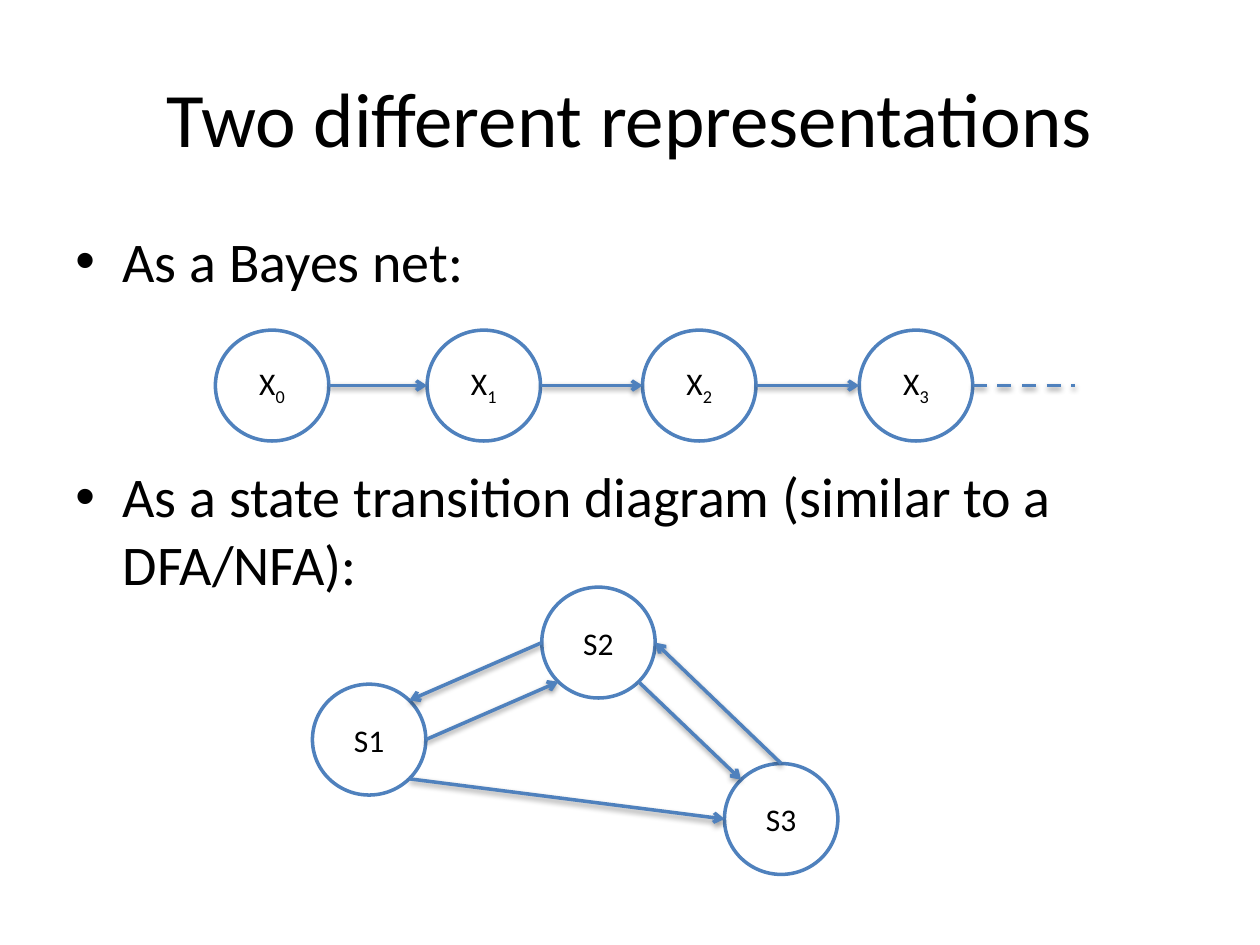
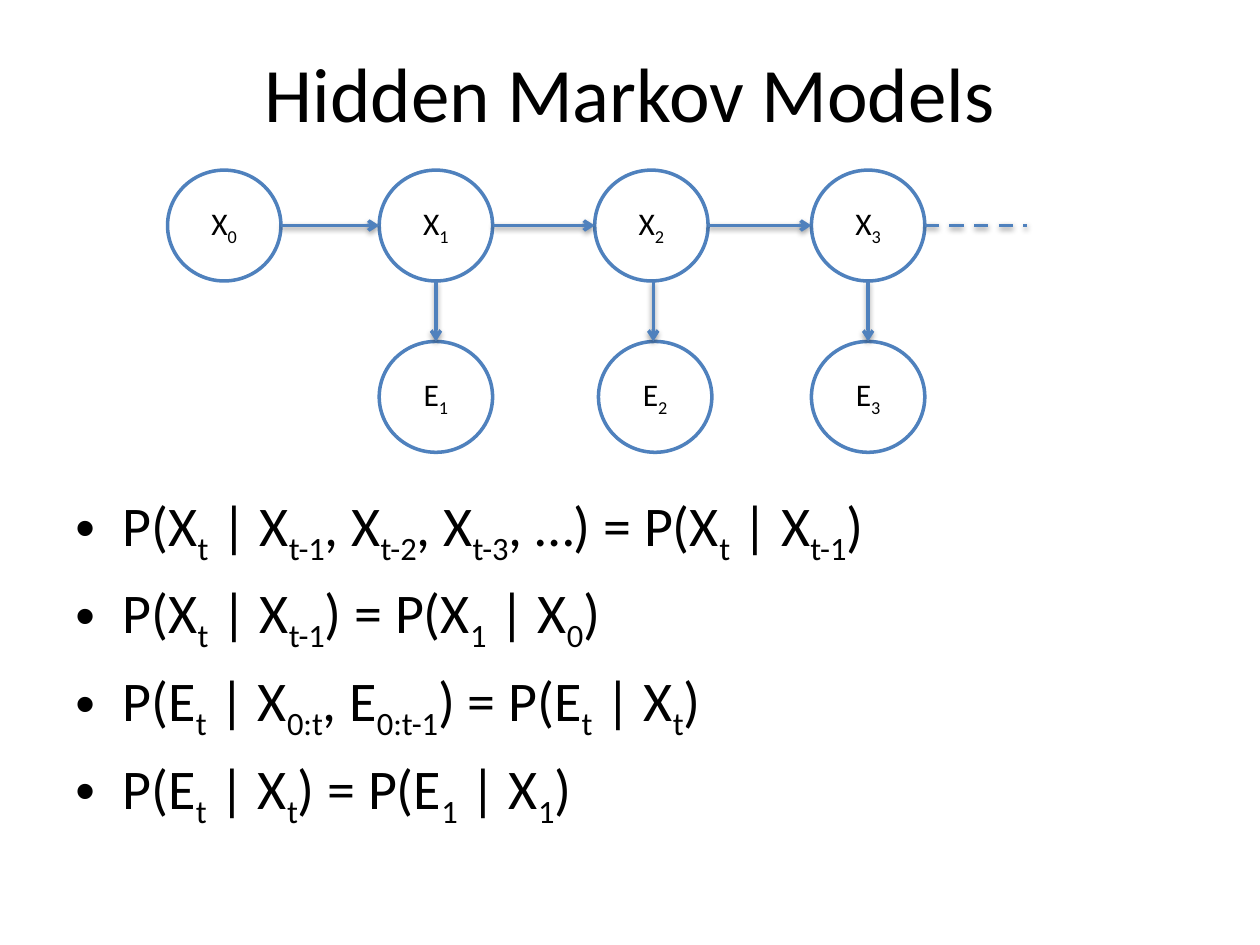
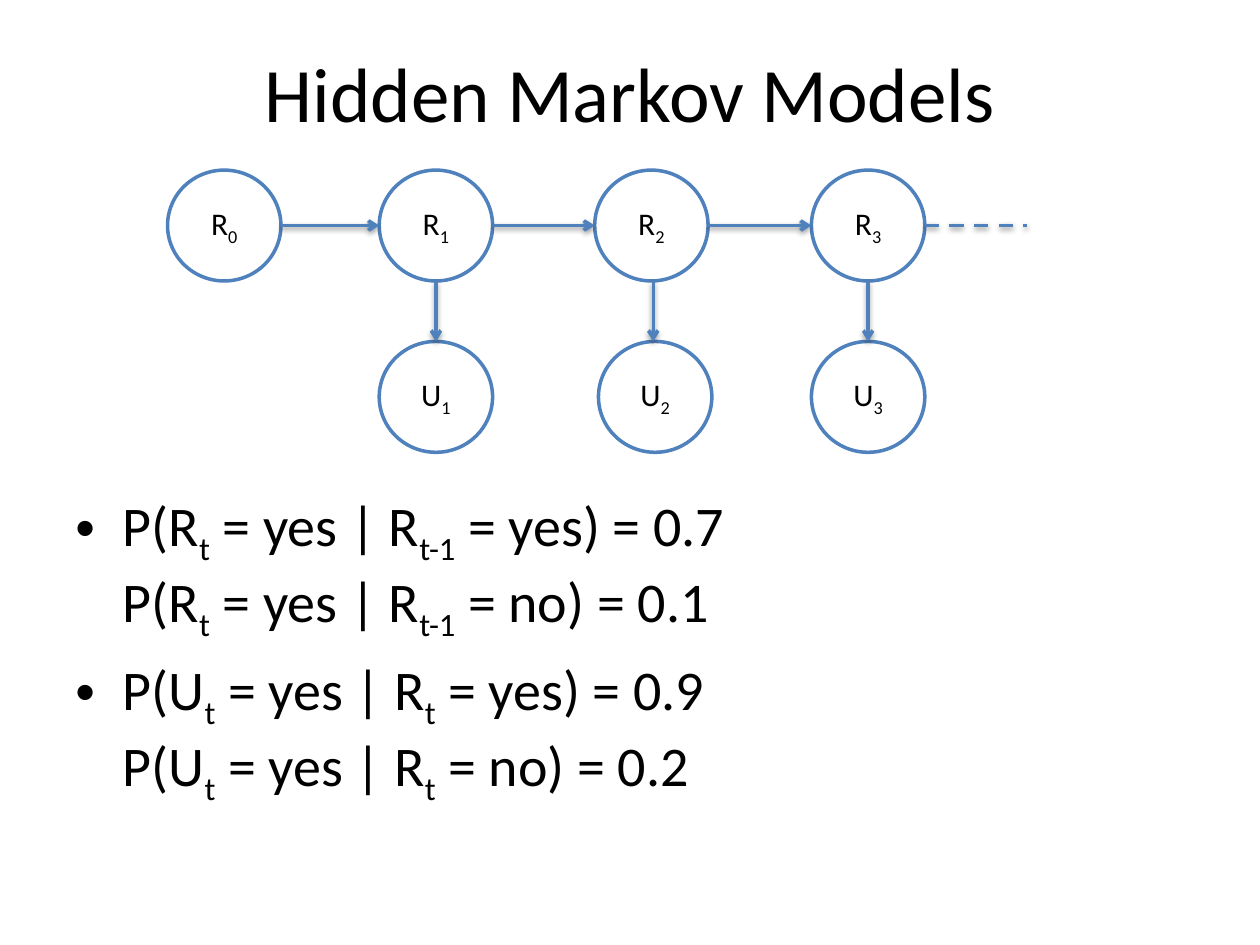
import math

import pptx
import pptx.dml.color
import pptx.enum.dml
import pptx.enum.shapes
import pptx.enum.text
import pptx.oxml
import pptx.util
from lxml import etree

A = "http://schemas.openxmlformats.org/drawingml/2006/main"
SHADOW = (f'<a:effectLst xmlns:a="{A}"><a:outerShdw blurRad="40000" dist="20000" '
          'dir="5400000" rotWithShape="0"><a:srgbClr val="000000">'
          '<a:alpha val="38000"/></a:srgbClr></a:outerShdw></a:effectLst>')
NODE_W, NODE_H = 9, 8.8
CHAIN_COLS = (0, 16.8, 33.9, 51.1)
EVIDENCE_COLS = (16.8, 34.2, 51.1)
LEFT, RIGHT, UP, DOWN = (-1, 0), (1, 0), (0, -1), (0, 1)


def rgb(value):
    return pptx.dml.color.RGBColor.from_string(value)


def write(p, text, size, color="000000", font="Calibri", align=None):
    """Fill a paragraph; parts in braces become subscripts, newlines line breaks."""
    p.alignment = align
    for i, part in enumerate(text.replace("}", "{").split("{")):
        for j, line in enumerate(part.split("\n")):
            if j:
                p.add_line_break()
            if not line:
                continue
            r = p.add_run()
            r.text = line
            r.font.size = pptx.util.Pt(size)
            r.font.name = font
            r.font.color.rgb = rgb(color)
            if i % 2:
                r._r.get_or_add_rPr().set("baseline", "-25000")


class Deck:
    """Style and current slide; lengths are cells of a 100 by 75 grid."""
    COLS, ROWS = 100, 75
    LINE, FILL = "4F81BD", "FFFFFF"
    CENTER = pptx.enum.text.PP_ALIGN.CENTER
    MIDDLE = pptx.enum.text.MSO_ANCHOR.MIDDLE

    def __init__(self):
        self.prs = pptx.Presentation()
        self.prs.slide_width = pptx.util.Inches(10)
        self.prs.slide_height = pptx.util.Inches(7.5)

    def cells(self, *lengths):
        """Turn alternating column and row lengths into EMU."""
        units = (self.prs.slide_width / self.COLS, self.prs.slide_height / self.ROWS)
        return [round(n * units[i % 2]) for i, n in enumerate(lengths)]

    def slide(self, title, title_rows):
        self.s = self.prs.slides.add_slide(self.prs.slide_layouts[5])
        sp = self.s.shapes.title
        sp.left, sp.top, sp.width, sp.height = self.cells(5, 3, 90, title_rows)
        sp.text_frame.vertical_anchor = self.MIDDLE
        write(sp.text_frame.paragraphs[0], title, 44, align=self.CENTER)

    def bullets(self, items, row, rows, gap=6.4):
        """Add bullets, with gap points between them."""
        tf = self.s.shapes.add_textbox(*self.cells(5, row, 90, rows)).text_frame
        tf.word_wrap = True
        for i, item in enumerate(items):
            p = tf.add_paragraph() if i else tf.paragraphs[0]
            p.space_before = pptx.util.Pt(gap if i else 6.4)
            write(p, item, 32)
            pPr = p._p.get_or_add_pPr()
            pPr.set("marL", "342900")
            pPr.set("indent", "-342900")
            etree.SubElement(pPr, f"{{{A}}}buFont").set("typeface", "Arial")
            etree.SubElement(pPr, f"{{{A}}}buChar").set("char", "•")

    def node(self, text, col, row):
        """Draw a labelled ellipse and return its centre."""
        sp = self.s.shapes.add_shape(pptx.enum.shapes.MSO_SHAPE.OVAL,
                                     *self.cells(col, row, NODE_W, NODE_H))
        sp.shadow.inherit = False
        sp.fill.solid()
        sp.fill.fore_color.rgb = rgb(self.FILL)
        sp.line.color.rgb = rgb(self.LINE)
        sp.line.width = pptx.util.Pt(2)
        tf = sp.text_frame
        tf.vertical_anchor = self.MIDDLE
        write(tf.paragraphs[0], text, 18, align=self.CENTER)
        return col + NODE_W / 2, row + NODE_H / 2

    def line(self, start, end, dashed=False):
        """Draw an arrow, or a dashed line without a head."""
        c = self.s.shapes.add_connector(pptx.enum.shapes.MSO_CONNECTOR.STRAIGHT,
                                        *self.cells(*start, *end))
        c.line.color.rgb = rgb(self.LINE)
        c.line.width = pptx.util.Pt(2)
        if dashed:
            c.line.dash_style = pptx.enum.dml.MSO_LINE.DASH
        else:
            ln = c.line._get_or_add_ln()
            etree.SubElement(ln, f"{{{A}}}tailEnd").set("type", "arrow")
        c._element.spPr.append(pptx.oxml.parse_xml(SHADOW))

    def chain(self, letter, col, row):
        """Draw nodes 0 to 3 in a row, joined by arrows and trailing off."""
        nodes = [self.node(f"{letter}{{{i}}}", col + dx, row)
                 for i, dx in enumerate(CHAIN_COLS)]
        for a, b in zip(nodes, nodes[1:]):
            self.line(rim(a, RIGHT), rim(b, LEFT))
        x, y = rim(nodes[-1], RIGHT)
        self.line((x, y), (x + 8.1, y), dashed=True)
        return nodes

    def hidden_markov(self, state, evidence, items):
        self.slide("Hidden Markov Models", 8.6)
        self.bullets(items, 38.4, 28.6)
        col = 13.3
        states = self.chain(state, col, 13.5)
        for i, dx in enumerate(EVIDENCE_COLS, 1):
            seen = self.node(f"{evidence}{{{i}}}", col + dx, 27.1)
            x = (states[i][0] + seen[0]) / 2
            self.line((x, rim(states[i], DOWN)[1]), (x, rim(seen, UP)[1]))


def rim(center, direction):
    """Point where a ray from a node's centre meets its outline."""
    dx, dy = direction
    size = math.hypot(dx, dy)
    return center[0] + dx / size * NODE_W / 2, center[1] + dy / size * NODE_H / 2


def main():
    deck = Deck()

    deck.slide("Two different representations", 12.5)
    deck.bullets(["As a Bayes net:",
                  "As a state transition diagram (similar to a DFA/NFA):"],
                 17.5, 49.5, gap=96)
    deck.chain("X", 17.1, 26.2)
    s1 = deck.node("S1", 24.8, 54.3)
    s2 = deck.node("S2", 43, 46.6)
    s3 = deck.node("S3", 57.5, 60.6)
    for a, leave, b, enter in ((s1, RIGHT, s2, (-1, 1)),
                               (s2, (1, 1), s3, (-1, -1)),
                               (s2, LEFT, s1, (1, -1)),
                               (s1, (1, 1), s3, LEFT),
                               (s3, UP, s2, RIGHT)):
        deck.line(rim(a, leave), rim(b, enter))

    deck.hidden_markov("X", "E", [
        "P(X{t} | X{t-1}, X{t-2}, X{t-3}, …) = P(X{t} | X{t-1})",
        "P(X{t} | X{t-1}) = P(X{1} | X{0})",
        "P(E{t} | X{0:t}, E{0:t-1}) = P(E{t} | X{t})",
        "P(E{t} | X{t}) = P(E{1} | X{1})"])

    deck.hidden_markov("R", "U", [
        "P(R{t} = yes | R{t-1} = yes) = 0.7\nP(R{t} = yes | R{t-1} = no) = 0.1",
        "P(U{t} = yes | R{t} = yes) = 0.9\nP(U{t} = yes | R{t} = no) = 0.2"])

    deck.prs.save("out.pptx")


if __name__ == "__main__":
    main()
